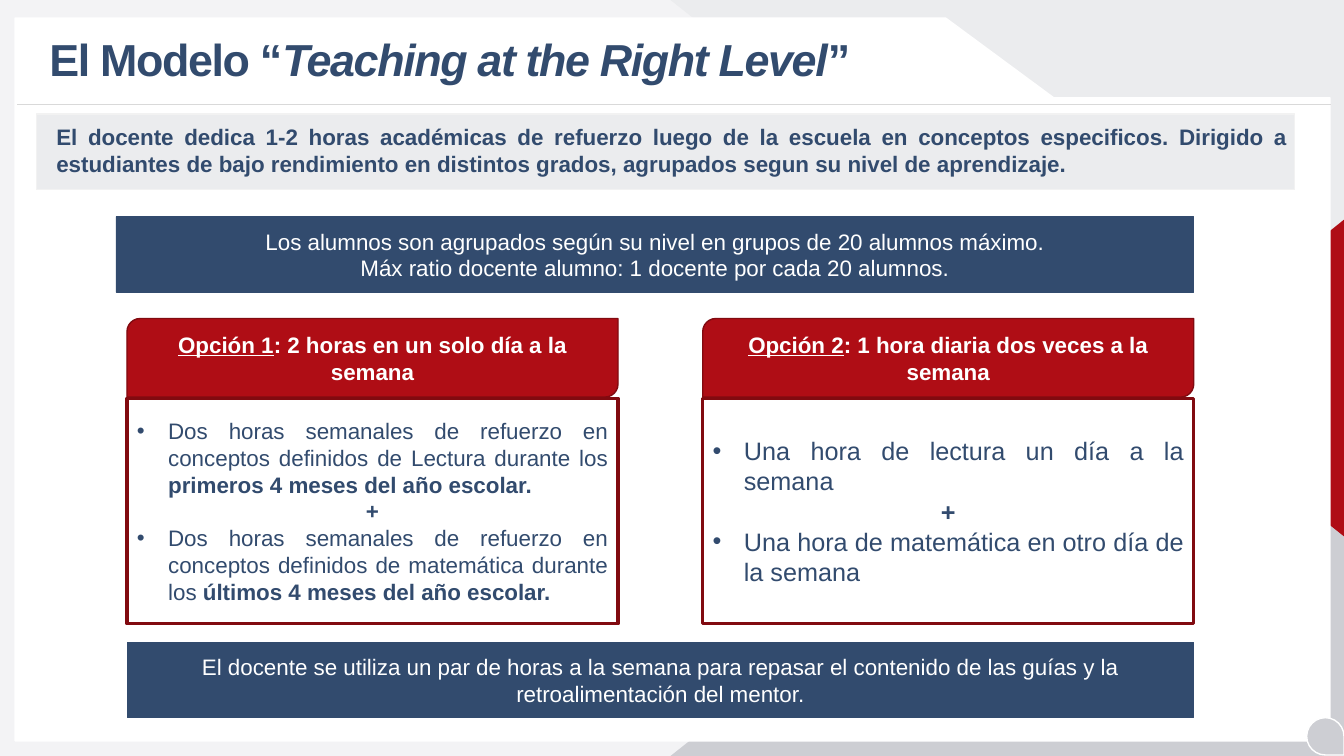
import pptx
import pptx.dml.color
import pptx.enum.shapes
import pptx.enum.text
import pptx.oxml.ns
import pptx.util
from lxml import etree

Inches = pptx.util.Inches
SHAPE = pptx.enum.shapes.MSO_SHAPE
ALIGN = pptx.enum.text.PP_ALIGN
ANCHOR = pptx.enum.text.MSO_ANCHOR
AUTO_SIZE = pptx.enum.text.MSO_AUTO_SIZE

NAVY, RED, DARK_RED, WHITE = "324B6E", "AF0D15", "810A10", "FFFFFF"
PALE, LIGHT, GREY = "F3F3F5", "EBECEE", "CDCED3"


def color(value):
    return pptx.dml.color.RGBColor.from_string(value)


class SlideBuilder:
    font_name = "Arial"

    def __init__(self, slide):
        self.slide = slide

    def paint(self, shape, fill, line, width):
        shape.shadow.inherit = False
        if fill:
            shape.fill.solid()
            shape.fill.fore_color.rgb = color(fill)
        else:
            shape.fill.background()
        if line:
            shape.line.color.rgb = color(line)
            shape.line.width = pptx.util.Pt(width)
        else:
            shape.line.fill.background()
        return shape

    def shape(self, kind, box, fill=None, line=None, width=1.0, rotation=0, apex=None):
        shape = self.slide.shapes.add_shape(kind, *map(Inches, box))
        shape.rotation = rotation
        if apex is not None:
            shape.adjustments[0] = apex
        return self.paint(shape, fill, line, width)

    def outline(self, points, fill, line):
        corners = [(Inches(x), Inches(y)) for x, y in points]
        builder = self.slide.shapes.build_freeform(*corners[0], scale=1.0)
        builder.add_line_segments(corners[1:], close=True)
        return self.paint(builder.convert_to_shape(), fill, line, 1)

    def rule(self, x1, y1, x2, y2, line, width):
        connector = self.slide.shapes.add_connector(
            pptx.enum.shapes.MSO_CONNECTOR.STRAIGHT, *map(Inches, (x1, y1, x2, y2)))
        connector.line.color.rgb = color(line)
        connector.line.width = pptx.util.Pt(width)
        etree.SubElement(connector.element.spPr, pptx.oxml.ns.qn("a:effectLst"))

    def bullet(self, paragraph):
        properties = paragraph._p.get_or_add_pPr()
        properties.set("marL", str(Inches(0.31)))
        properties.set("indent", str(-Inches(0.31)))
        font = etree.SubElement(properties, pptx.oxml.ns.qn("a:buFont"))
        font.set("typeface", self.font_name)
        etree.SubElement(properties, pptx.oxml.ns.qn("a:buChar")).set("char", "•")

    def fill_text(self, shape, paragraphs, size, ink, anchor=ANCHOR.MIDDLE):
        """Each paragraph is (alignment, bulleted, [(text, style letters from b, i, u)])."""
        frame = shape.text_frame
        frame.word_wrap = True
        frame.vertical_anchor = anchor
        for index, (alignment, bulleted, runs) in enumerate(paragraphs):
            paragraph = frame.add_paragraph() if index else frame.paragraphs[0]
            paragraph.alignment = alignment
            if bulleted:
                self.bullet(paragraph)
            for text, style in runs:
                run = paragraph.add_run()
                run.text = text
                run.font.name = self.font_name
                run.font.size = pptx.util.Pt(size)
                run.font.color.rgb = color(ink)
                run.font.bold = "b" in style
                run.font.italic = "i" in style
                run.font.underline = "u" in style

    def title(self, box, runs):
        title = self.slide.shapes.title
        title.element.getparent().append(title.element)  # in front of the backdrop
        title.left, title.top, title.width, title.height = map(Inches, box)
        self.fill_text(title, [(ALIGN.LEFT, False, runs)], 32, NAVY)
        title.text_frame.auto_size = AUTO_SIZE.NONE
        paragraph = title.text_frame.paragraphs[0]
        paragraph.line_spacing = 0.9
        for run in paragraph.runs:
            run._r.get_or_add_rPr().set("spc", "-100")

    def text_box(self, box, text, size):
        text_box = self.slide.shapes.add_textbox(*map(Inches, box))
        self.fill_text(text_box, [(ALIGN.JUSTIFY, False, [(text, "b")])], size, NAVY, ANCHOR.TOP)
        text_box.text_frame.auto_size = AUTO_SIZE.SHAPE_TO_FIT_TEXT

    def banner(self, box, lines):
        banner = self.shape(SHAPE.RECTANGLE, box, NAVY, NAVY, 0.5)
        self.fill_text(banner, [(ALIGN.CENTER, False, [(line, "")]) for line in lines], 16, WHITE)

    def option(self, left, name, summary, first, second, size):
        width = 4.87
        header = self.shape(SHAPE.ROUND_2_DIAG_RECTANGLE, (left, 3.16, width, 0.78), RED, DARK_RED)
        self.fill_text(header, [(ALIGN.CENTER, False, [(name, "bu"), (summary, "b")])], 16, WHITE)
        body = self.shape(SHAPE.RECTANGLE, (left, 3.95, width, 2.24), None, DARK_RED, 2.25)
        self.fill_text(body, [(ALIGN.JUSTIFY, True, first),
                              (ALIGN.CENTER, False, [("+", "b")]),
                              (ALIGN.JUSTIFY, True, second)], size, NAVY)


def main():
    presentation = pptx.Presentation()
    presentation.slide_width, presentation.slide_height = Inches(13.33), Inches(7.5)
    page = SlideBuilder(presentation.slides.add_slide(presentation.slide_layouts[5]))

    # Backdrop
    triangle = SHAPE.ISOSCELES_TRIANGLE
    page.shape(SHAPE.RECTANGLE, (0, 0, 13.33, 7.5), PALE)
    page.shape(triangle, (6.65, 0, 6.69, 5.31), LIGHT, rotation=180, apex=0)
    page.shape(triangle, (6.65, 2.19, 6.69, 5.31), GREY, apex=1)
    page.shape(triangle, (10.78, 2.77, 3.15, 1.96), RED, rotation=270)
    page.outline([(0.15, 0.18), (9.38, 0.18), (10.45, 0.97), (13.19, 0.97),
                  (13.19, 7.35), (0.15, 7.35)], WHITE, WHITE)
    page.rule(13.2, 1.04, 0.17, 1.04, "D9D9D9", 0.5)
    page.shape(SHAPE.TEAR, (12.96, 7.12, 0.37, 0.37), GREY, WHITE, rotation=90)

    # Title and introduction
    page.shape(SHAPE.RECTANGLE, (0.36, 1.13, 12.48, 0.75), LIGHT, "F2F2F2")
    page.title((0.39, 0.22, 9.66, 0.79),
               [("El Modelo “", "b"), ("Teaching at the Right Level", "bi"), ("”", "b")])
    page.text_box((0.46, 1.17, 12.41, 0.64),
                  "El docente dedica 1-2 horas académicas de refuerzo luego de la escuela en "
                  "conceptos especificos. Dirigido a estudiantes de bajo rendimiento en distintos "
                  "grados, agrupados segun su nivel de aprendizaje.", 16)

    # Grouping rule
    page.banner((1.15, 2.15, 10.69, 0.75),
                ["Los alumnos son agrupados según su nivel en grupos de 20 alumnos máximo.",
                 "Máx ratio docente alumno: 1 docente por cada 20 alumnos."])

    # The two options
    page.option(1.26, "Opción 1", ": 2 horas en un solo día a la semana",
                [("Dos horas semanales de refuerzo en conceptos definidos de Lectura durante los ", ""),
                 ("primeros 4 meses del año escolar.", "b")],
                [("Dos horas semanales de refuerzo en conceptos definidos de matemática durante los ", ""),
                 ("últimos 4 meses del año escolar.", "b")], 16)
    page.option(6.97, "Opción 2", ": 1 hora diaria dos veces a la semana",
                [("Una hora de lectura un día a la semana", "")],
                [("Una hora de matemática en otro día de la semana", "")], 18)

    # Teacher's review time
    page.banner((1.26, 6.37, 10.58, 0.75),
                ["El docente se utiliza un par de horas a la semana para repasar el contenido "
                 "de las guías y la retroalimentación del mentor."])

    presentation.save("out.pptx")


if __name__ == "__main__":
    main()
